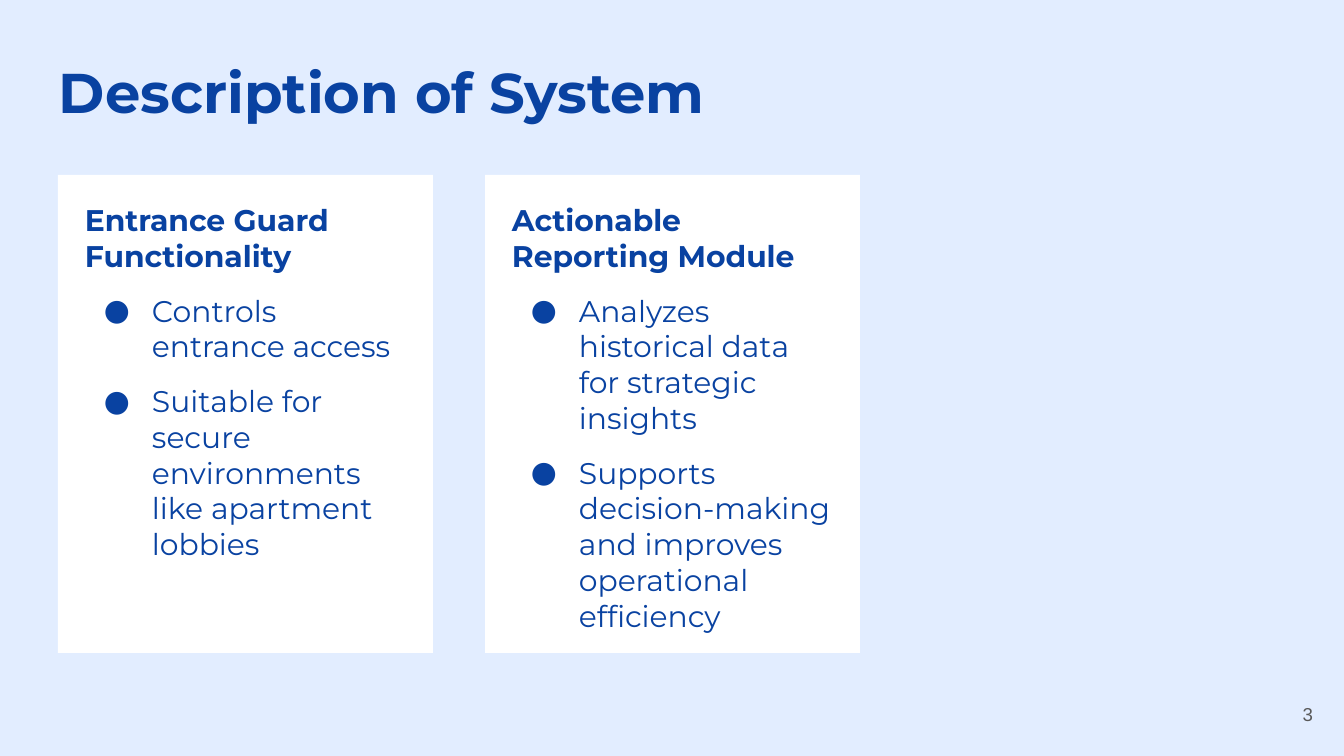
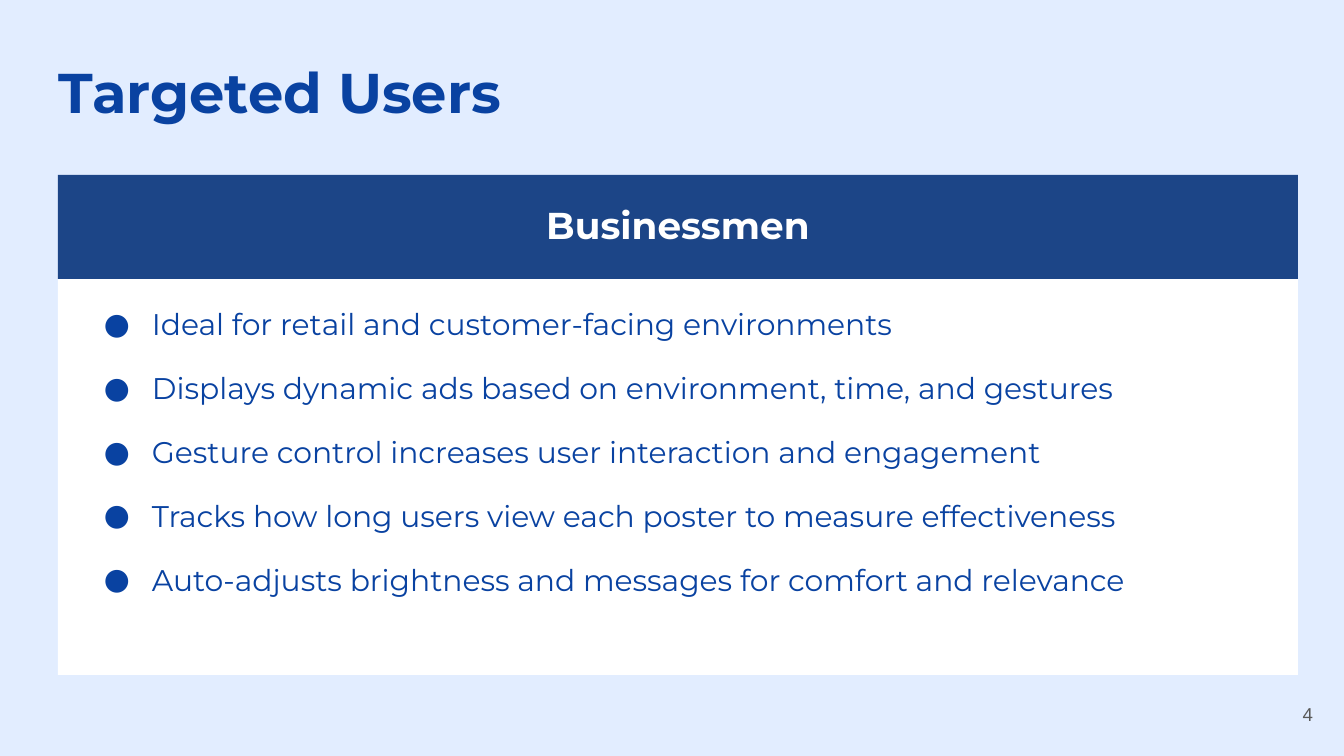
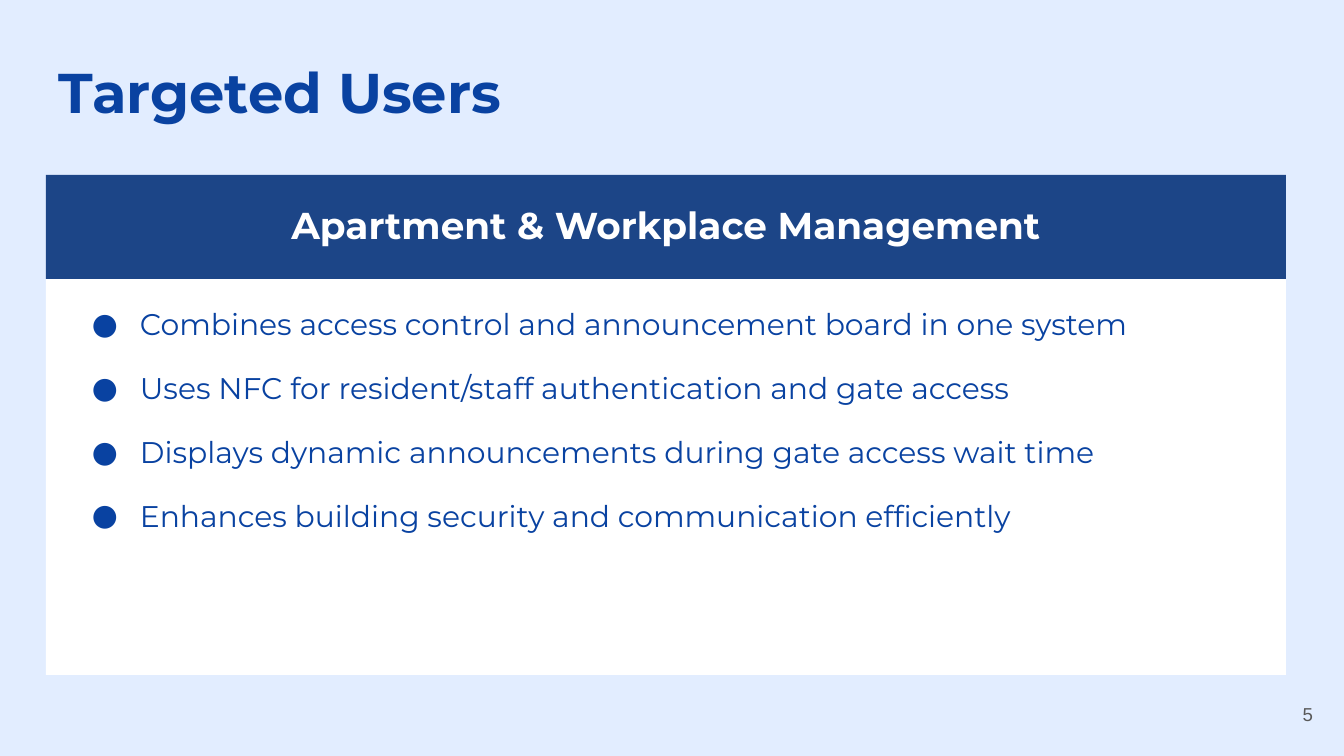
from dataclasses import dataclass

from lxml import etree
from pptx import Presentation
from pptx import util as u
from pptx.dml.color import RGBColor
from pptx.enum import shapes, text
from pptx.oxml import ns


@dataclass(frozen=True)
class Theme:
    background: str = "E2EDFF"
    panel: str = "FFFFFF"
    band: str = "1C4587"
    ink: str = "0942A1"
    on_band: str = "FFFFFF"
    number: str = "595959"
    font: str = "Montserrat"
    number_font: str = "Arial"
    title_pt: int = 30
    band_pt: int = 20
    body_pt: int = 16
    number_pt: int = 10


THEME = Theme()
EMU_PER_PX = 914400 / 134.4
PANEL_TOP = 175
BAND_HEIGHT = 104
INSET, PANEL_INSET = 13, 27
BULLET_INDENT, BULLET_HANG = 67, 48
FIRST_NUMBER = 3


def px(n):
    return u.Emu(round(n * EMU_PER_PX))


def rgb(value):
    return RGBColor.from_string(value)


def place(s, left, top, width, height):
    s.left, s.top, s.width, s.height = map(px, (left, top, width, height))


def fill(s, color):
    s.fill.solid()
    s.fill.fore_color.rgb = rgb(color)


def frame(s, inset, anchor=text.MSO_ANCHOR.TOP):
    """Give a shape's text fixed margins, wrapping and an anchor."""
    tf = s.text_frame
    tf.word_wrap = True
    tf.auto_size = text.MSO_AUTO_SIZE.NONE
    tf.vertical_anchor = anchor
    tf.margin_left = tf.margin_right = tf.margin_top = tf.margin_bottom = px(inset)
    return tf


def set_bullet(p, bullet):
    """Turn the paragraph's bullet on with a hanging indent, or off."""
    pPr = p._p.get_or_add_pPr()
    pPr.set("marL", str(px(BULLET_INDENT) if bullet else 0))
    pPr.set("indent", str(px(-BULLET_HANG) if bullet else 0))
    if not bullet:
        etree.SubElement(pPr, ns.qn("a:buNone"))
        return
    color = etree.SubElement(pPr, ns.qn("a:buClr"))
    etree.SubElement(color, ns.qn("a:srgbClr"), val=THEME.ink)
    etree.SubElement(pPr, ns.qn("a:buFont"), typeface=THEME.font)
    etree.SubElement(pPr, ns.qn("a:buChar"), char="●")


def write(tf, words, size=THEME.body_pt, color=THEME.ink, font=THEME.font, bold=False,
          align=text.PP_ALIGN.LEFT, bullet=False, before=0, after=0):
    """Fill the first paragraph if it is empty, otherwise add a new one."""
    p = tf.paragraphs[-1]
    if p.runs:
        p = tf.add_paragraph()
    set_bullet(p, bullet)
    p.alignment = align
    p.space_before, p.space_after = u.Pt(before), u.Pt(after)
    r = p.add_run()
    r.text = words
    r.font.name, r.font.size, r.font.bold = font, u.Pt(size), bold
    r.font.color.rgb = rgb(color)


def add_slide(prs, layout, title):
    """Start a slide with its title and page number."""
    slide = prs.slides.add_slide(prs.slide_layouts.get_by_name(layout))
    place(slide.shapes.title, 46, 44, 1252, 85)
    write(frame(slide.shapes.title, INSET), title, size=THEME.title_pt, bold=True)
    number = slide.shapes.add_textbox(px(1246), px(685), px(80), px(58))
    write(frame(number, INSET, text.MSO_ANCHOR.MIDDLE),
          str(FIRST_NUMBER + len(prs.slides) - 1), size=THEME.number_pt,
          color=THEME.number, font=THEME.number_font, align=text.PP_ALIGN.RIGHT)
    return slide


def fill_panel(body, box, items, gap, heading=None):
    """Make a body placeholder a white panel with a bullet list."""
    place(body, *box)
    fill(body, THEME.panel)
    tf = frame(body, PANEL_INSET)
    if heading:
        write(tf, heading, bold=True)
    for i, item in enumerate(items):
        write(tf, item, bullet=True,
              before=gap if heading or i else 0,
              after=gap if i == len(items) - 1 else 0)


def add_band(slide, left, width, heading):
    s = slide.shapes.add_shape(shapes.MSO_SHAPE.RECTANGLE, px(left), px(PANEL_TOP),
                               px(width), px(BAND_HEIGHT))
    s.shadow.inherit = False
    s.line.fill.background()
    fill(s, THEME.band)
    write(frame(s, PANEL_INSET), heading, size=THEME.band_pt, color=THEME.on_band,
          bold=True, align=text.PP_ALIGN.CENTER)


def add_columns_slide(prs, title, columns):
    slide = add_slide(prs, "Two Content", title)
    bodies = list(slide.placeholders)[1:]
    for i, (body, (heading, items)) in enumerate(zip(bodies, columns)):
        fill_panel(body, (58 + 427 * i, PANEL_TOP, 375, 478), items, 10, heading)


def add_users_slide(prs, left, heading, items):
    slide = add_slide(prs, "Title and Content", "Targeted Users")
    width = 1240
    add_band(slide, left, width, heading)
    fill_panel(slide.placeholders[1], (left, PANEL_TOP + BAND_HEIGHT, width, 396), items, 15)


def main():
    prs = Presentation()
    prs.slide_width, prs.slide_height = px(1344), px(756)
    fill(prs.slide_master.background, THEME.background)

    add_columns_slide(prs, "Description of System", [
        ("Entrance Guard Functionality", [
            "Controls entrance access",
            "Suitable for secure environments like apartment lobbies",
        ]),
        ("Actionable Reporting Module", [
            "Analyzes historical data for strategic insights",
            "Supports decision-making and improves operational efficiency",
        ]),
    ])
    add_users_slide(prs, 58, "Businessmen", [
        "Ideal for retail and customer-facing environments",
        "Displays dynamic ads based on environment, time, and gestures",
        "Gesture control increases user interaction and engagement",
        "Tracks how long users view each poster to measure effectiveness",
        "Auto-adjusts brightness and messages for comfort and relevance",
    ])
    add_users_slide(prs, 46, "Apartment & Workplace Management", [
        "Combines access control and announcement board in one system",
        "Uses NFC for resident/staff authentication and gate access",
        "Displays dynamic announcements during gate access wait time",
        "Enhances building security and communication efficiently",
    ])
    prs.save("out.pptx")


if __name__ == "__main__":
    main()
